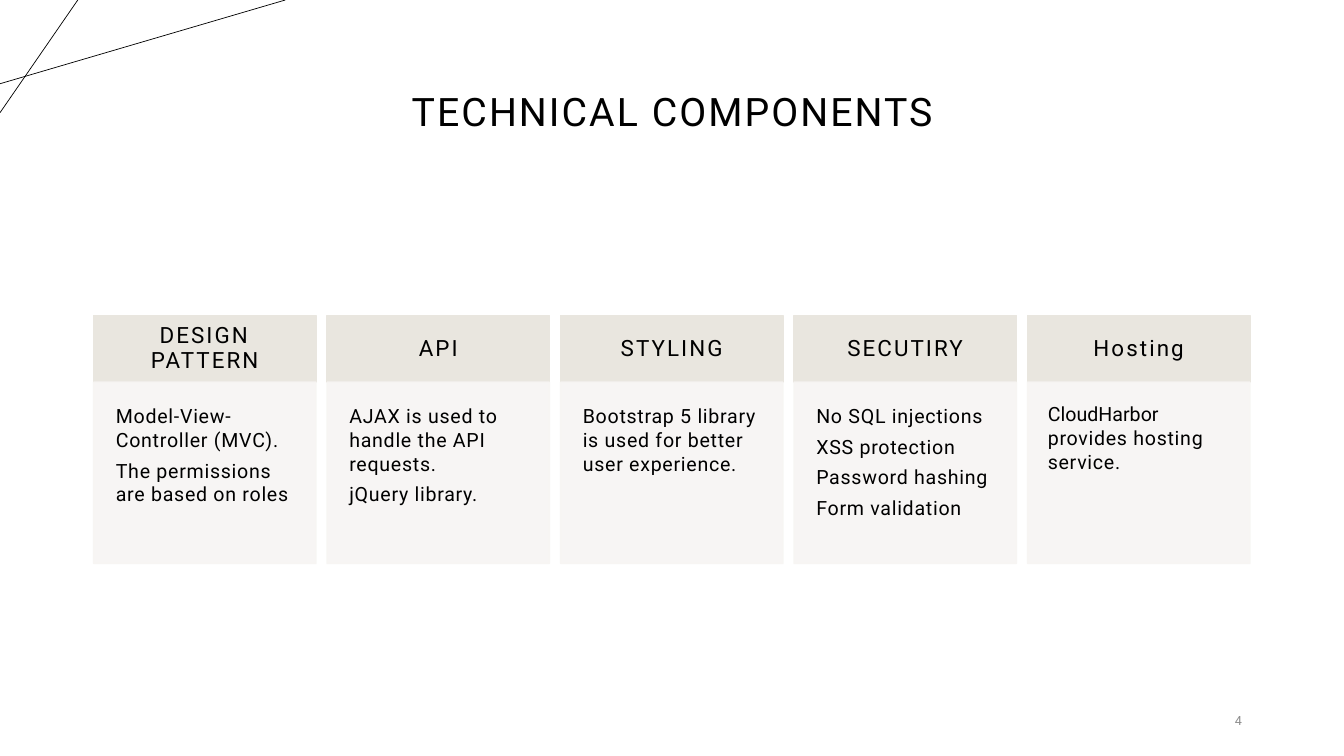
import dataclasses

import pptx
import pptx.dml.color
import pptx.enum.shapes
import pptx.enum.text
import pptx.oxml.ns
import pptx.util
from lxml import etree

Cm = pptx.util.Cm
Pt = pptx.util.Pt
Align = pptx.enum.text.PP_ALIGN
Anchor = pptx.enum.text.MSO_ANCHOR


@dataclasses.dataclass(frozen=True)
class Theme:
    font: str = "Roboto"
    ink: str = "000000"
    muted: str = "8C8C8C"
    header: str = "E9E6DF"
    panel: str = "F7F5F3"
    title_size: float = 28
    header_size: float = 16
    body_size: float = 14
    number_size: float = 9
    wide_tracking: float = 1.5
    body_tracking: float = 0.5


@dataclasses.dataclass(frozen=True)
class Box:
    left: float
    top: float
    width: float
    height: float

    def lengths(self):
        return [Cm(value) for value in dataclasses.astuple(self)]


@dataclasses.dataclass(frozen=True)
class Card:
    heading: str
    lines: tuple
    inset: float = 0.56


THEME = Theme()
CARDS = (
    Card("DESIGN PATTERN", ("Model-View-Controller (MVC).", "The permissions are based on roles")),
    Card("API", ("AJAX is used to handle the API requests.", "jQuery library.")),
    Card("STYLING", ("Bootstrap 5 library is used for better user experience.",)),
    Card("SECUTIRY", ("No SQL injections", "XSS protection", "Password hashing", "Form validation")),
    Card("Hosting", ((("CloudHarbor", 0), (" provides hosting service.", THEME.body_tracking)),), 0.51),
)


def rgb(colour):
    return pptx.dml.color.RGBColor.from_string(colour)


def write_text(frame, lines, *, size, colour=THEME.ink, tracking=0, align=Align.LEFT,
               anchor=Anchor.TOP, inset=None, line_spacing=1.0, space_after=0):
    frame.word_wrap = True
    frame.auto_size = pptx.enum.text.MSO_AUTO_SIZE.NONE
    frame.vertical_anchor = anchor
    if inset is not None:
        frame.margin_left = frame.margin_right = Cm(inset)
        frame.margin_top = frame.margin_bottom = Cm(inset)
    for index, line in enumerate(lines):
        para = frame.add_paragraph() if index else frame.paragraphs[0]
        para.alignment = align
        para.line_spacing = line_spacing
        para.space_before = Pt(0)
        para.space_after = Pt(space_after)
        pieces = ((line, tracking),) if isinstance(line, str) else line
        for words, spacing in pieces:
            span = para.add_run()
            span.text = words
            span.font.name = THEME.font
            span.font.size = Pt(size)
            span.font.color.rgb = rgb(colour)
            span.font._element.set("spc", str(round(spacing * 100)))


def add_panel(page, box, colour, opacity=100):
    panel = page.shapes.add_shape(pptx.enum.shapes.MSO_SHAPE.RECTANGLE, *box.lengths())
    panel.shadow.inherit = False
    panel.fill.solid()
    panel.fill.fore_color.rgb = rgb(colour)
    panel.line.color.rgb = rgb(colour)
    panel.line.width = Pt(1)
    if opacity < 100:
        for paint in panel._element.spPr.iter(pptx.oxml.ns.qn("a:srgbClr")):
            etree.SubElement(paint, pptx.oxml.ns.qn("a:alpha"), val=str(opacity * 1000))
    return panel


def add_corner_lines(page, box):
    right, bottom = box.left + box.width, box.top + box.height
    ends = (
        (box.left, box.top + 2.11, right, box.top),
        (box.left + 1.96, box.top, box.left, bottom),
    )
    for points in ends:
        line = page.shapes.add_connector(
            pptx.enum.shapes.MSO_CONNECTOR.STRAIGHT, *[Cm(point) for point in points])
        line.line.color.rgb = rgb(THEME.ink)
        line.line.width = Pt(0.5)
        etree.SubElement(line._element.spPr, pptx.oxml.ns.qn("a:effectLst"))


def add_title(page, box, words):
    title = page.shapes.title
    title.left, title.top, title.width, title.height = box.lengths()
    write_text(title.text_frame, [words], size=THEME.title_size, tracking=THEME.wide_tracking,
               align=Align.CENTER, anchor=Anchor.MIDDLE, line_spacing=0.9)


def add_card(page, box, card):
    header_height = 1.68
    header = add_panel(page, Box(box.left, box.top, box.width, header_height), THEME.header)
    write_text(header.text_frame, [card.heading], size=THEME.header_size,
               tracking=THEME.wide_tracking, align=Align.CENTER, anchor=Anchor.MIDDLE,
               inset=0.43, line_spacing=0.9)
    body = add_panel(page, Box(box.left, box.top + header_height, box.width,
                               box.height - header_height), THEME.panel, opacity=90)
    write_text(body.text_frame, card.lines, size=THEME.body_size,
               tracking=THEME.body_tracking, inset=card.inset, space_after=5)


def add_cards(page, box, cards, gap=0.28):
    width = (box.width - gap * (len(cards) - 1)) / len(cards)
    for index, card in enumerate(cards):
        left = box.left + index * (width + gap)
        add_card(page, Box(left, box.top, width, box.height), card)


def add_page_number(page, box, number):
    label = page.shapes.add_textbox(*box.lengths())
    write_text(label.text_frame, [str(number)], size=THEME.number_size, colour=THEME.muted,
               align=Align.RIGHT, anchor=Anchor.MIDDLE)


def add_components_page(deck):
    page = deck.slides.add_slide(deck.slide_layouts.get_by_name("Title Only"))
    add_corner_lines(page, Box(0, 0, 7.19, 2.84))
    add_title(page, Box(2.34, 1.02, 29.21, 3.68), "TECHNICAL COMPONENTS")
    add_cards(page, Box(2.36, 7.95, 29.14, 6.25), CARDS)
    add_page_number(page, Box(23.93, 17.65, 7.62, 1.02), 4)


def main():
    deck = pptx.Presentation()
    deck.slide_width = Cm(33.87)
    deck.slide_height = Cm(19.05)
    add_components_page(deck)
    deck.save("out.pptx")


if __name__ == "__main__":
    main()
